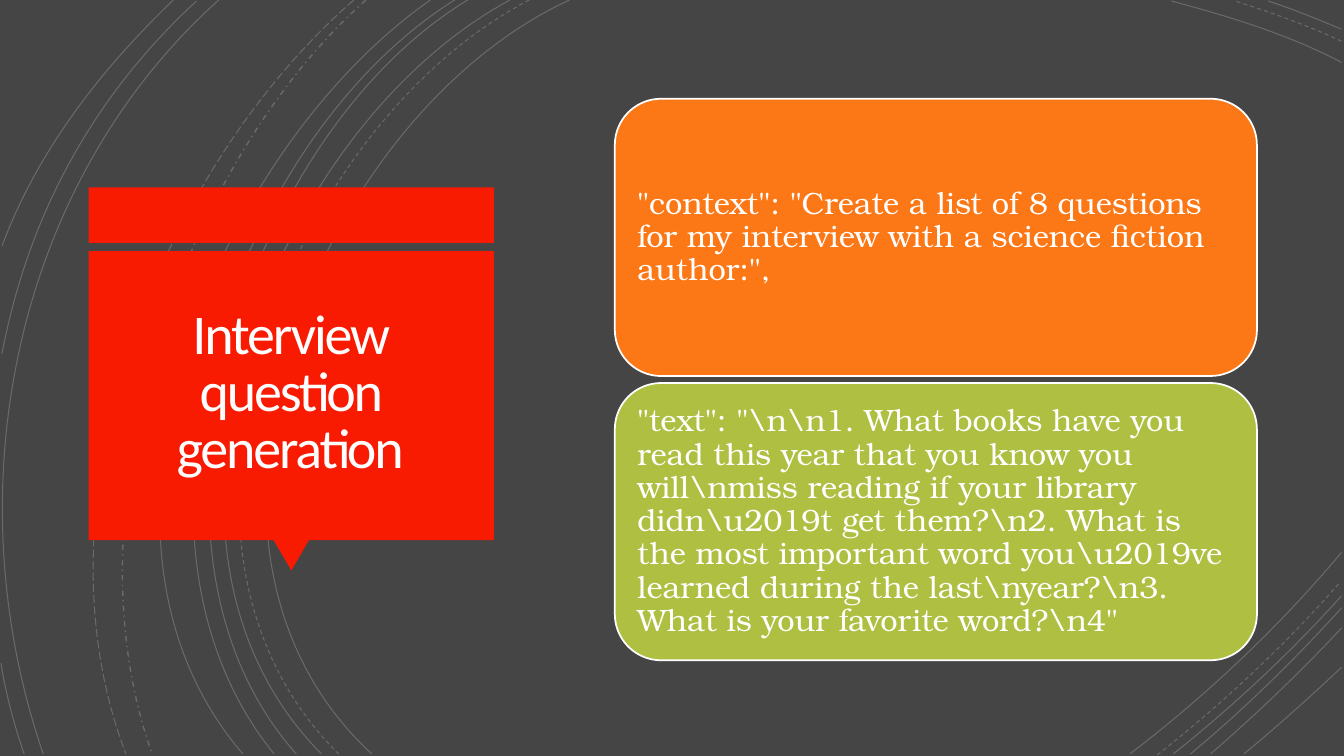
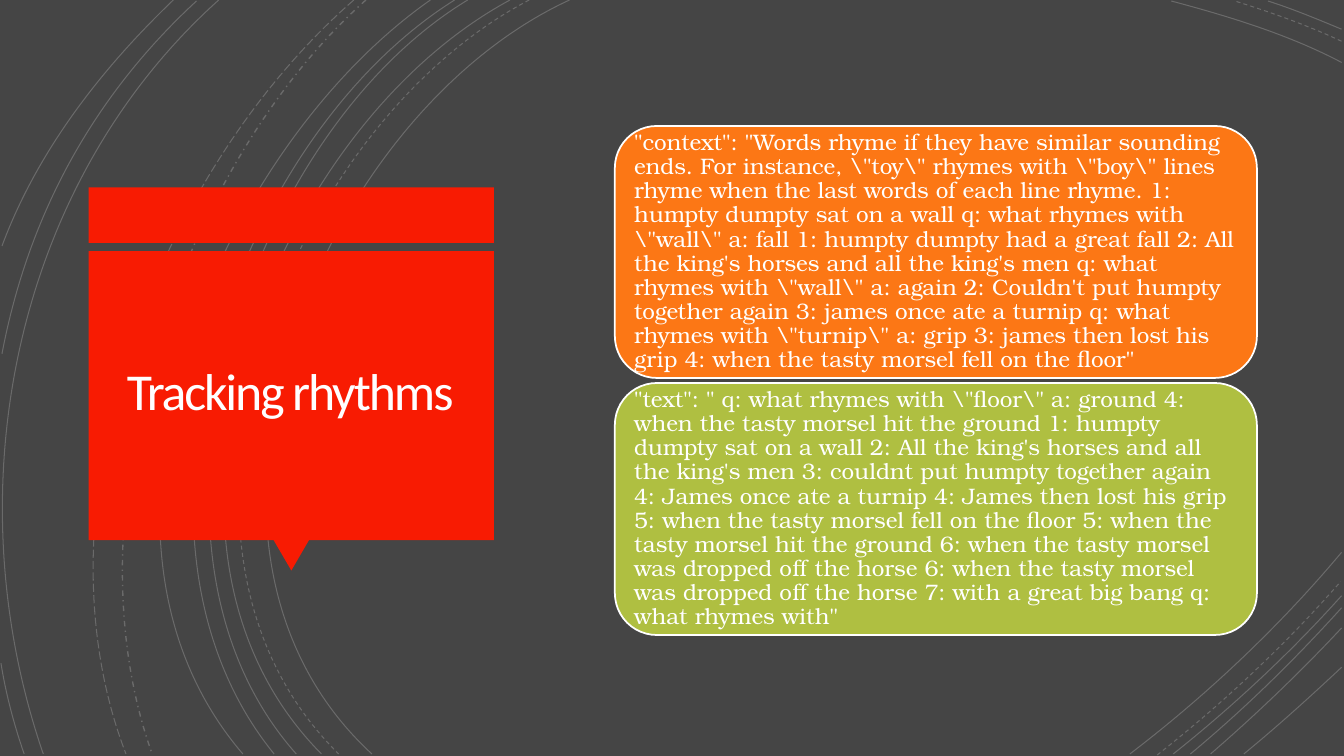
"""Builds two slides that show prompts and the text generated from them."""
from collections import namedtuple

from lxml import etree
from pptx import Presentation
from pptx import util as u
from pptx.dml.color import RGBColor
from pptx.enum import dml, shapes, text
from pptx.oxml.ns import qn

Box = namedtuple("Box", "left top width height")
COLUMNS, ROWS = 40 / 3, 7.5
PAGE = Box(0, 0, COLUMNS, ROWS)
TITLE_PANEL = Box(0.88, 1.86, 4.02, 3.8)
COLORS = {
    "background": "454545", "arc": "FFFFFF", "panel": "F81B02", "title": "FFFEFF",
    "context": "FC7715", "output": "AFBF41", "card_text": "FFFFFF", "card_line": "FFFFFF",
}
FONTS = {"title": "Calibri", "body": "TeX Gyre Bonum"}
ARCS = [
    ("SOLID", (5.65, 0), (3.15, 1.15), (1.43, 5.4), (3.69, 7.48)),
    ("SOLID", (13.31, 0.62), (12.78, 0.34), (12.18, 0.16), (11.62, 0.01)),
    ("SOLID", (11.21, 7.48), (11.97, 6.9), (12.69, 6.22), (13.31, 5.48)),
    ("DASH", (5.25, 0), (2.85, 1.25), (1.23, 5.37), (3.36, 7.48)),
    ("DASH", (13.31, 0.41), (12.97, 0.25), (12.6, 0.12), (12.25, 0.01)),
    ("DASH", (11.48, 7.49), (12.13, 6.98), (12.75, 6.4), (13.3, 5.77)),
    ("SOLID", (5.06, 0), (2.7, 1.27), (1.1, 5.37), (3.19, 7.48)),
    ("SOLID", (13.31, 0.29), (13.07, 0.19), (12.83, 0.09), (12.58, 0.01)),
    ("SOLID", (11.64, 7.48), (12.23, 7.01), (12.8, 6.48), (13.31, 5.91)),
    ("SOLID", (4.64, 0), (2.44, 1.33), (1.1, 5.41), (2.94, 7.48)),
    ("SOLID", (11.81, 7.48), (12.34, 7.04), (12.84, 6.55), (13.31, 6.03)),
    ("SOLID", (4.51, 0), (2.31, 1.38), (0.97, 5.33), (2.72, 7.48)),
    ("SOLID", (12.01, 7.48), (12.46, 7.09), (12.9, 6.67), (13.31, 6.23)),
    ("SOLID", (4.27, 0), (2.17, 1.47), (0.53, 5.29), (2.41, 7.48)),
    ("SOLID", (12.34, 7.48), (12.67, 7.21), (12.99, 6.92), (13.31, 6.62)),
    ("DASH_DOT", (3.63, 0), (1.76, 1.66), (0.65, 5.09), (1.51, 7.48)),
    ("LONG_DASH", (3.51, 0), (1.57, 1.69), (0.29, 4.99), (1.25, 7.48)),
    ("SOLID", (2.17, 0), (0.11, 1.85), (-0.46, 4.9), (0.43, 7.48)),
    ("SOLID", (1.95, 0.01), (0.92, 0.96), (0.28, 2.14), (0.02, 3.51)),
    ("SOLID", (0.01, 6.58), (0.06, 6.89), (0.14, 7.19), (0.24, 7.48)),
    ("SOLID", (1.72, 0), (1, 0.69), (0.37, 1.5), (0.02, 2.44)),
]
SLIDES = [
    {
        "title": "Interview question generation", "title_size": 40, "size": 22, "inset": 0.09,
        "box": Box(6.1, 0.98, 6.37, 5.57), "gap": 0.07,
        "context": r'''"context": "Create a list of 8 questions for my interview with a science '''
                   r'''fiction author:",''',
        "output": r'''"text": "\n\n1. What books have you read this year that you know you '''
                  r'''will\nmiss reading if your library didn\u2019t get them?\n2. What is the '''
                  r'''most important word you\u2019ve learned during the last\nyear?\n3. What is '''
                  r'''your favorite word?\n4"''',
    },
    {
        "title": "Tracking rhythms", "title_size": 37, "size": 16, "inset": 0.07,
        "box": Box(6.1, 1.25, 6.37, 5.05), "gap": 0.05,
        "context": r'''"context": "Words rhyme if they have similar sounding ends. For instance, '''
                   r'''\"toy\" rhymes with \"boy\" lines rhyme when the last words of each line '''
                   r'''rhyme. 1: humpty dumpty sat on a wall q: what rhymes with \"wall\" a: fall '''
                   r'''1: humpty dumpty had a great fall 2: All the king's horses and all the '''
                   r'''king's men q: what rhymes with \"wall\" a: again 2: Couldn't put humpty '''
                   r'''together again 3: james once ate a turnip q: what rhymes with \"turnip\" '''
                   r'''a: grip 3: james then lost his grip 4: when the tasty morsel fell on the '''
                   r'''floor"''',
        "output": r'''"text": " q: what rhymes with \"floor\" a: ground 4: when the tasty morsel '''
                  r'''hit the ground 1: humpty dumpty sat on a wall 2: All the king's horses and '''
                  r'''all the king's men 3: couldnt put humpty together again 4: James once ate a '''
                  r'''turnip 4: James then lost his grip 5: when the tasty morsel fell on the '''
                  r'''floor 5: when the tasty morsel hit the ground 6: when the tasty morsel was '''
                  r'''dropped off the horse 6: when the tasty morsel was dropped off the horse '''
                  r'''7: with a great big bang q: what rhymes with"''',
    },
]


def color(name):
    """Return the named colour."""
    return RGBColor.from_string(COLORS[name])


def part(box, left, top, width, height):
    """Return the part of a box given by shares of its size."""
    return Box(box.left + left * box.width, box.top + top * box.height,
               width * box.width, height * box.height)


def emu(box):
    """Turn grid cells, one inch each, into slide lengths."""
    return [u.Inches(length) for length in box]


def add_block(parent, kind, box, fill, line=None):
    """Add a filled preset shape without shadow."""
    block = parent.add_shape(kind, *emu(box))
    block.shadow.inherit = False
    block.fill.solid()
    block.fill.fore_color.rgb = color(fill)
    if line:
        block.line.color.rgb = color(line)
        block.line.width = u.Pt(1.25)
    else:
        block.line.fill.background()
    return block


def write(shape, words, *, font, size, ink, inset, align, leading, after=0, tracking=0):
    """Write one formatted paragraph, centred vertically in a shape."""
    frame = shape.text_frame
    frame.word_wrap = True
    frame.auto_size = text.MSO_AUTO_SIZE.NONE
    frame.vertical_anchor = text.MSO_ANCHOR.MIDDLE
    for side in ("left", "right", "top", "bottom"):
        setattr(frame, f"margin_{side}", u.Inches(inset))
    para = frame.paragraphs[0]
    para.alignment = align
    para.line_spacing = leading
    para.space_before, para.space_after = u.Pt(0), u.Pt(after)
    span = para.add_run()
    span.text = words
    span.font.name, span.font.size = FONTS[font], u.Pt(size)
    span.font.color.rgb = color(ink)
    if tracking:
        span.font._element.set("spc", str(int(tracking * 100)))


def add_curve(parent, points):
    """Add an open cubic curve from its start, two handles and end."""
    builder = parent.build_freeform(*points[0])
    builder.add_line_segments(points[1:], close=False)
    curve = builder.convert_to_shape()
    outline = next(curve._element.iter(qn("a:path")))
    bend = etree.SubElement(outline, qn("a:cubicBezTo"))
    for segment in outline.findall(qn("a:lnTo")):
        bend.append(segment[0])
        outline.remove(segment)
    return curve


def draw_arcs(parent, box):
    """Draw the faint arcs across the box."""
    for dash, *points in ARCS:
        arc = add_curve(parent, [(u.Inches(box.left + x), u.Inches(box.top + y))
                                 for x, y in points])
        arc.shadow.inherit = False
        arc.fill.background()
        arc.line.color.rgb = color("arc")
        arc.line.width = u.Pt(1 if dash == "DASH_DOT" else 0.75)
        arc.line.dash_style = getattr(dml.MSO_LINE, dash)
        tint = next(arc.line._ln.iter(qn("a:srgbClr")))
        etree.SubElement(tint, qn("a:alpha")).set("val", "20000")


def draw_title_panel(parent, box):
    """Draw the band, pointer and panel behind the title."""
    kinds = shapes.MSO_SHAPE
    add_block(parent, kinds.RECTANGLE, part(box, 0, 0, 1, 0.145), "panel")
    pointer = add_block(parent, kinds.ISOSCELES_TRIANGLE,
                        part(box, 0.456, 0.92, 0.088, 0.08), "panel")
    pointer.rotation = 180
    add_block(parent, kinds.RECTANGLE, part(box, 0, 0.166, 1, 0.755), "panel")


def prepare_layout(layout, page):
    """Move the shared artwork to the layout and place its title."""
    layout.background.fill.solid()
    layout.background.fill.fore_color.rgb = color("background")
    tree = layout.shapes.element
    title, *footers = layout.placeholders
    for footer in footers:
        tree.remove(footer.element)
    for index, (draw, box) in enumerate(((draw_arcs, PAGE), (draw_title_panel, TITLE_PANEL))):
        group = page.shapes.add_group_shape()
        draw(group.shapes, box)
        tree.insert(2 + index, group.element)
    for number, node in enumerate(tree.iter(qn("p:cNvPr")), 1):
        node.set("id", str(number))
    title.left, title.top, title.width, title.height = emu(
        part(TITLE_PANEL, 0.02, 0.186, 0.955, 0.71))


def add_cards(page, box, content):
    """Stack the prompt card above the output card."""
    gap = content["gap"] / box.height
    height = (1 - gap) / 2
    for row, name in enumerate(("context", "output")):
        card = add_block(page.shapes, shapes.MSO_SHAPE.ROUNDED_RECTANGLE,
                         part(box, 0, row * (height + gap), 1, height), name, "card_line")
        write(card, content[name], font="body", size=content["size"], ink="card_text",
              inset=content["inset"], align=text.PP_ALIGN.LEFT, leading=0.9,
              after=0.35 * content["size"])


def fill_page(page, content):
    """Fill one slide with its title and cards."""
    write(page.shapes.title, content["title"], font="title", size=content["title_size"],
          ink="title", inset=0.25, align=text.PP_ALIGN.CENTER, leading=0.85, tracking=-1.5)
    add_cards(page, content["box"], content)


def main():
    """Build and save the deck."""
    deck = Presentation()
    deck.slide_width, deck.slide_height = u.Inches(COLUMNS), u.Inches(ROWS)
    layout = deck.slide_layouts.get_by_name("Title Only")
    pages = [deck.slides.add_slide(layout) for _ in SLIDES]
    prepare_layout(layout, pages[0])
    for page, content in zip(pages, SLIDES):
        fill_page(page, content)
    deck.save("out.pptx")


if __name__ == "__main__":
    main()
